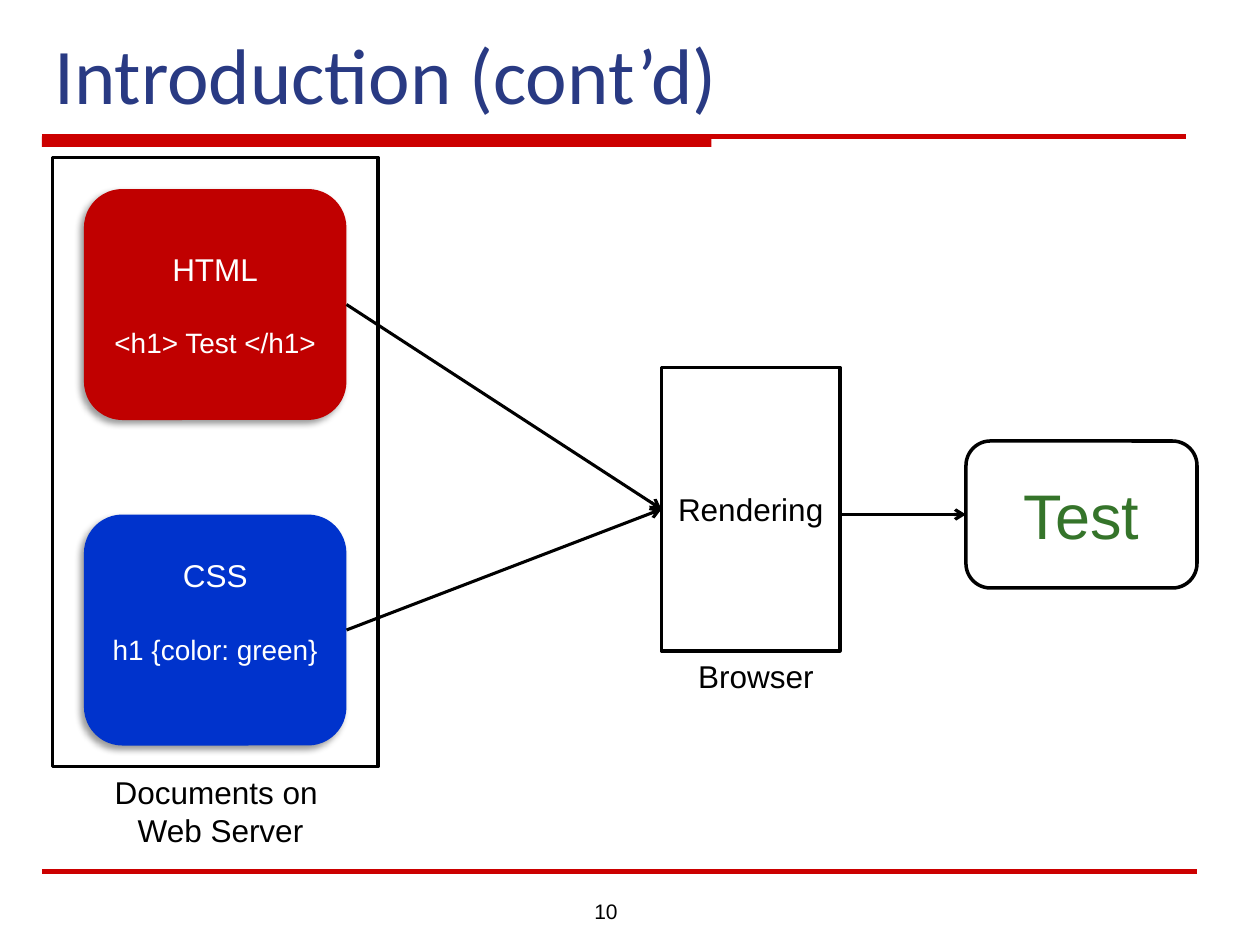
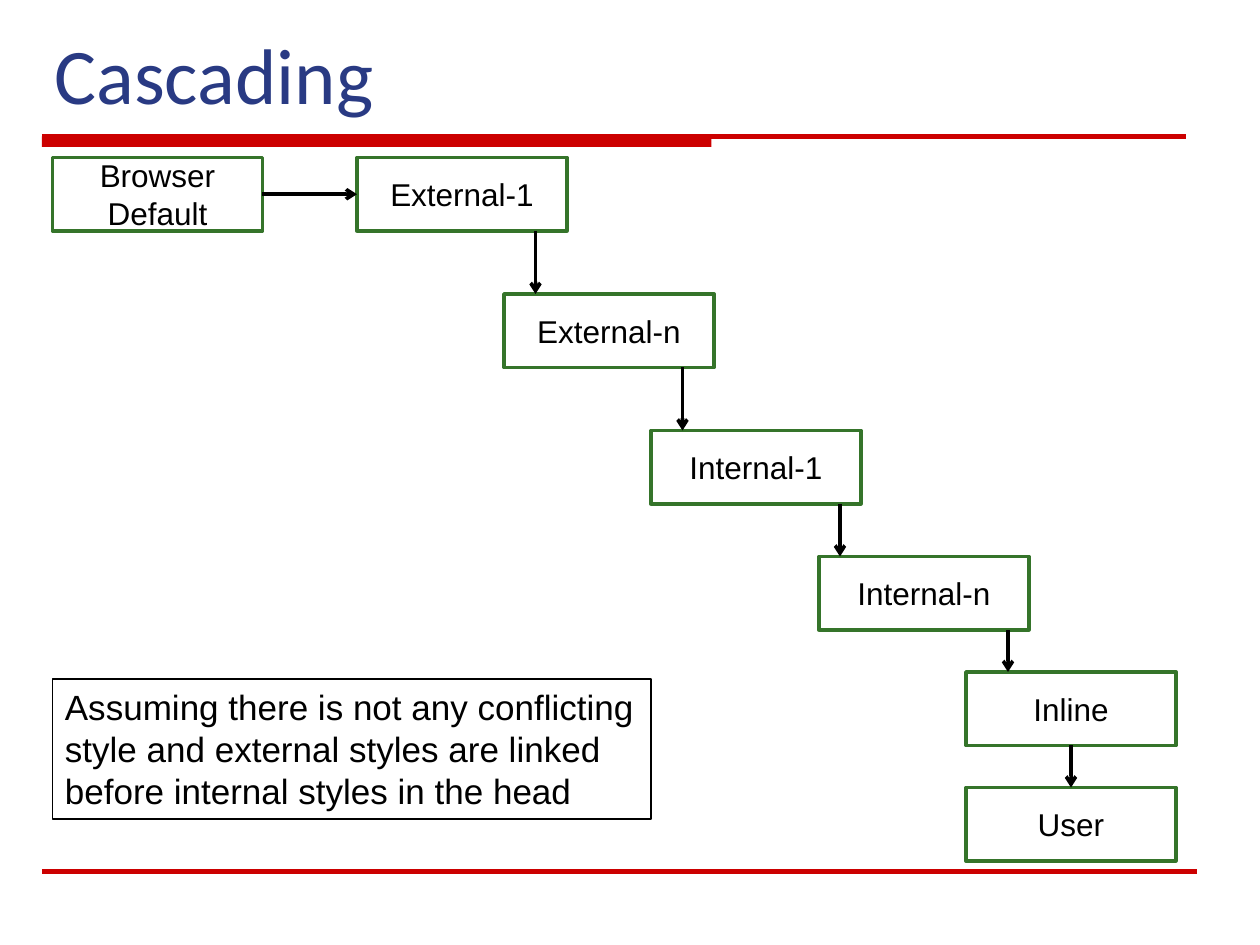
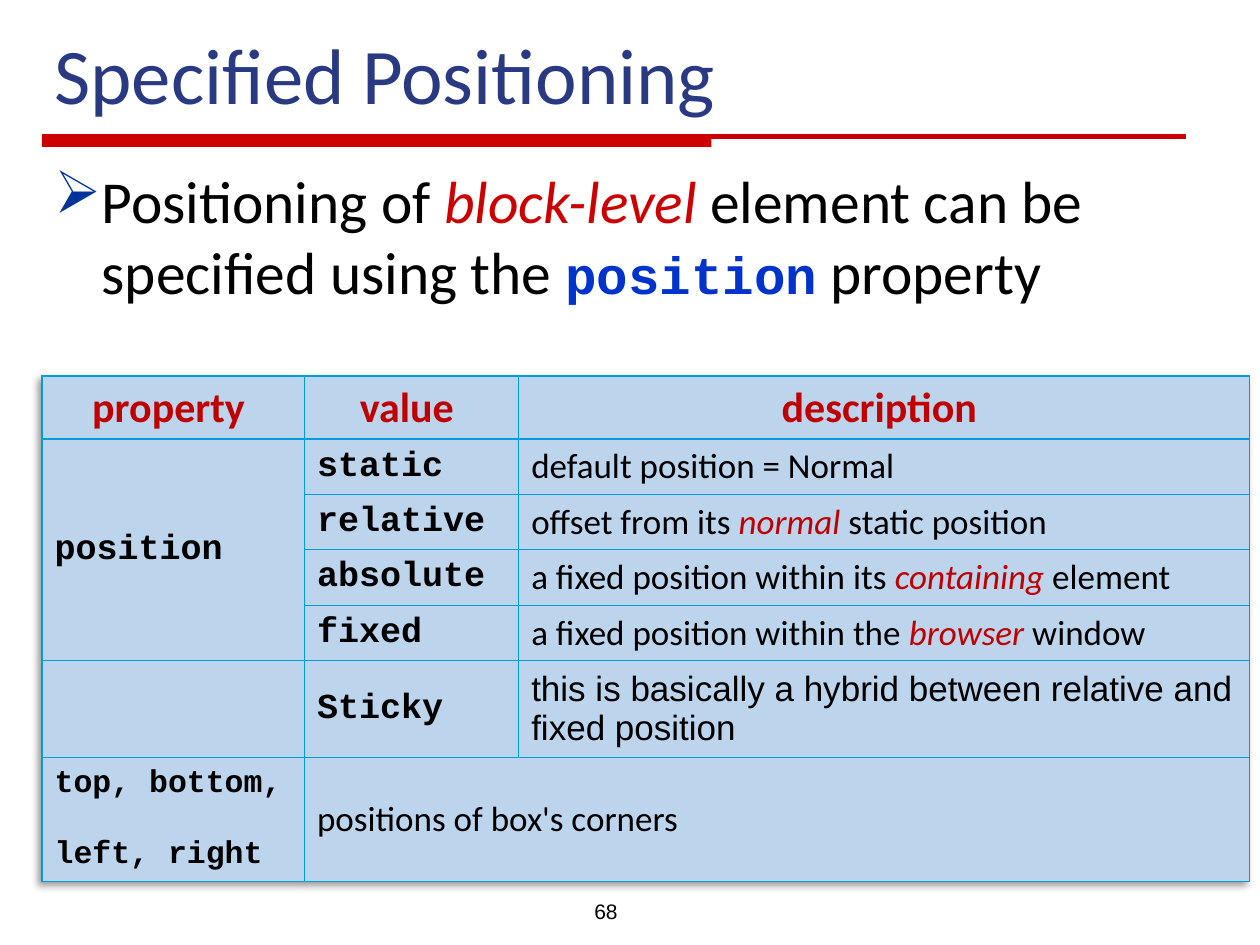
from lxml.etree import SubElement, fromstring
from pptx import Presentation
from pptx.dml.color import RGBColor
from pptx.enum.shapes import MSO_CONNECTOR, MSO_SHAPE
from pptx.enum.text import MSO_ANCHOR, PP_ALIGN
from pptx.oxml.ns import nsdecls, qn
from pptx.util import Pt

COLOURS = {
    "title": "293A83", "band": "CC0000", "text": "000000", "white": "FFFFFF",
    "red": "C00000", "blue": "0033CC", "bullet": "003399", "green": "35742A",
    "cell": "BDD4ED", "grid": "009DD9",
}
LEFT, CENTER, RIGHT = PP_ALIGN.LEFT, PP_ALIGN.CENTER, PP_ALIGN.RIGHT
TOP, MIDDLE, BOTTOM = MSO_ANCHOR.TOP, MSO_ANCHOR.MIDDLE, MSO_ANCHOR.BOTTOM
SHADOW = f"""<a:effectLst {nsdecls('a')}>
<a:outerShdw blurRad="50800" dist="38100" dir="8100000" algn="tr" rotWithShape="0">
<a:srgbClr val="000000"><a:alpha val="40000"/></a:srgbClr></a:outerShdw></a:effectLst>"""


def write(frame, *paragraphs, size=18, font="Arial", colour="text", bold=False,
          align=LEFT, gap=0, spacing=None):
    frame.word_wrap = True
    for index, spans in enumerate(paragraphs):
        para = frame.add_paragraph() if index else frame.paragraphs[0]
        para.alignment = align
        if index:
            para.space_before = Pt(gap)
        if spacing:
            para.line_spacing = spacing
        for words in [spans] if isinstance(spans, str) else spans:
            words, style = (words, {}) if isinstance(words, str) else words
            span = para.add_run()
            span.text = words
            span.font.size = Pt(style.get("size", size))
            span.font.name = style.get("font", font)
            span.font.bold = style.get("bold", bold)
            span.font.italic = style.get("italic", False)
            span.font.color.rgb = RGBColor.from_string(COLOURS[style.get("colour", colour)])


def add_line(page, start, end, colour="text", width=2, head=False, begin=None, finish=None):
    line = page.shapes.add_connector(MSO_CONNECTOR.STRAIGHT, *map(Pt, start + end))
    line.line.color.rgb = RGBColor.from_string(COLOURS[colour])
    line.line.width = Pt(width)
    if begin:
        line.begin_connect(*begin)
    if finish:
        line.end_connect(*finish)
    properties = line._element.spPr
    if head:
        SubElement(properties.find(qn("a:ln")), qn("a:tailEnd"), type="arrow")
    SubElement(properties, qn("a:effectLst"))


deck = Presentation()
deck.slide_width, deck.slide_height = Pt(720), Pt(540)
pages = []
for title, number in [("Introduction (cont’d)", "10"), ("Cascading", None),
                      ("Specified Positioning", "68")]:
    page = deck.slides.add_slide(deck.slide_layouts[6])
    band = page.shapes.add_shape(MSO_SHAPE.RECTANGLE, Pt(24), Pt(78), Pt(382.5), Pt(6))
    band.shadow.inherit = False
    band.fill.solid()
    band.fill.fore_color.rgb = RGBColor.from_string(COLOURS["band"])
    band.line.fill.background()
    add_line(page, (24, 78), (678, 78), "band", 3)
    add_line(page, (24, 498), (684, 498), "band", 3)
    heading = page.shapes.add_textbox(Pt(24), Pt(12), Pt(666), Pt(60)).text_frame
    heading.vertical_anchor = BOTTOM
    write(heading, title, size=45, font="Calibri", colour="title")
    if number:
        footer = page.shapes.add_textbox(Pt(312), Pt(510), Pt(48), Pt(19.5))
        write(footer.text_frame, number, size=12, align=RIGHT)
    pages.append(page)
intro, cascade, positioning = pages

ROUND, RECT = MSO_SHAPE.ROUNDED_RECTANGLE, MSO_SHAPE.RECTANGLE
small = {"size": 16}
boxes = {}
for name, kind, place, fill, paragraphs, style in [
    ("html", ROUND, (48, 108, 150, 132), "red",
     ["HTML", [("<h1> Test </h1>", small)]], {"colour": "white", "gap": 22}),
    ("css", ROUND, (48, 294, 150, 132), "blue",
     ["CSS", [("h1 {color: green}", small)]], {"colour": "white", "gap": 22}),
    ("server", RECT, (30, 90, 186, 348), None, [], {}),
    ("rendering", RECT, (378, 210, 102, 162), None, ["Rendering"], {}),
    ("result", ROUND, (552, 252, 132, 84), None, ["Test"], {"size": 36, "colour": "green"}),
]:
    box = boxes[name] = intro.shapes.add_shape(kind, *map(Pt, place))
    box.shadow.inherit = False
    if fill:
        box.fill.solid()
        box.fill.fore_color.rgb = RGBColor.from_string(COLOURS[fill])
        box.line.fill.background()
        properties = box._element.spPr
        properties.replace(properties.find(qn("a:effectLst")), fromstring(SHADOW))
    else:
        box.fill.background()
        box.line.color.rgb = RGBColor.from_string(COLOURS["text"])
        box.line.width = Pt(2)
    box.text_frame.vertical_anchor = MIDDLE
    write(box.text_frame, *paragraphs, align=CENTER, **style)
boxes["css"].text_frame.margin_bottom = Pt(25.6)

for label, place in [("Documents on  Web Server", (42, 438, 168, 51)),
                     ("Browser", (390, 372, 84, 29))]:
    caption = intro.shapes.add_textbox(*map(Pt, place))
    write(caption.text_frame, label, align=CENTER)

for source, y in [("html", 174), ("css", 360)]:
    add_line(intro, (198, y), (378, 291), width=1.75, head=True,
             begin=(boxes[source], 3), finish=(boxes["rendering"], 1))
add_line(intro, (480, 294), (552, 294), width=1.75, head=True, finish=(boxes["result"], 1))

STEP_WIDTH, STEP_HEIGHT = 120, 42
steps = [
    ("Browser Default", 30, 90), ("External-1", 204, 90), ("External-n", 288, 168),
    ("Internal-1", 372, 246), ("Internal-n", 468, 318), ("Inline", 552, 384), ("User", 552, 450),
]
step_boxes = []
for label, x, y in steps:
    box = cascade.shapes.add_shape(RECT, Pt(x), Pt(y), Pt(STEP_WIDTH), Pt(STEP_HEIGHT))
    box.shadow.inherit = False
    box.fill.solid()
    box.fill.fore_color.rgb = RGBColor.from_string(COLOURS["white"])
    box.line.color.rgb = RGBColor.from_string(COLOURS["green"])
    box.line.width = Pt(2)
    box.text_frame.vertical_anchor = MIDDLE
    write(box.text_frame, label, align=CENTER)
    step_boxes.append(box)

browser, external, *_, inline, user = step_boxes
add_line(cascade, (150, 111), (204, 111), head=True, begin=(browser, 3), finish=(external, 1))
for x, (_, _, upper), (_, _, lower) in zip([306, 390, 480, 576], steps[1:], steps[2:]):
    add_line(cascade, (x, upper + STEP_HEIGHT), (x, lower), head=True)
add_line(cascade, (612, 426), (612, 450), head=True, begin=(inline, 2), finish=(user, 0))

note = cascade.shapes.add_textbox(Pt(30), Pt(388), Pt(342), Pt(80))
note.line.color.rgb = RGBColor.from_string(COLOURS["text"])
note.line.width = Pt(0.75)
write(note.text_frame, "Assuming there is not any conflicting style and external styles "
      "are linked before internal styles in the head", size=20)

body = positioning.shapes.add_textbox(Pt(24), Pt(90), Pt(660), Pt(408)).text_frame
write(body, [
    "Positioning of ", ("block-level", {"colour": "band", "italic": True}),
    " element can be specified using the ",
    ("position", {"size": 30, "font": "Courier New", "colour": "blue", "bold": True}),
    " property",
], size=34, font="Calibri")
body.paragraphs[0].space_before = Pt(12)
bullet = body.paragraphs[0]._p.get_or_add_pPr()
bullet.set("marL", str(Pt(27)))
bullet.set("indent", str(-Pt(27)))
SubElement(SubElement(bullet, qn("a:buClr")), qn("a:srgbClr"), val=COLOURS["bullet"])
SubElement(bullet, qn("a:buChar"), char="➢")

stress = {"colour": "red", "italic": True}
header = {"size": 24, "font": "Calibri", "colour": "red", "bold": True, "align": CENTER}
code = {"size": 20, "font": "Courier New", "bold": True}
plain = {"size": 20, "font": "Calibri"}
contents = [
    (0, 0, ["property "], header), (0, 1, ["value "], header), (0, 2, ["description "], header),
    (1, 0, ["position"], code),
    (6, 0, ["top, bottom,", "left, right"], {**code, "size": 18, "gap": 20.4}),
    (6, 1, ["positions of box's corners"], plain),
]
values = [
    ("static", ["default position = Normal"], plain),
    ("relative", ["offset from its ", ("normal ", stress), "static position"], plain),
    ("absolute", ["a fixed position within its ", ("containing", stress), " element"], plain),
    ("fixed", ["a fixed position within the ", ("browser", stress), " window"], plain),
    ("Sticky", ["this is basically a hybrid between relative and fixed position"],
     {"size": 20}),
]
for row, (value, description, style) in enumerate(values, 1):
    contents += [(row, 1, [value], code), (row, 2, [description], style)]

heights = [36, 31.7, 31.7, 31.7, 31.7, 52, 69]
frame = positioning.shapes.add_table(7, 3, Pt(24), Pt(214.8), Pt(690), Pt(sum(heights)))
table = frame.table
for column, width in zip(table.columns, [150, 122.4, 417.6]):
    column.width = Pt(width)
for row, height in zip(table.rows, heights):
    row.height = Pt(height)
table.first_row = table.horz_banding = False
table._tbl.tblPr.insert(0, fromstring(SHADOW))
table.cell(1, 0).merge(table.cell(4, 0))
table.cell(6, 1).merge(table.cell(6, 2))
for cell in table.iter_cells():
    cell.vertical_anchor = MIDDLE
    cell.fill.solid()
    cell.fill.fore_color.rgb = RGBColor.from_string(COLOURS["cell"])
    for index, side in enumerate(["lnL", "lnR", "lnT", "lnB"]):
        cell._tc.tcPr.insert(index, fromstring(
            f'<a:{side} {nsdecls("a")} w="{Pt(0.79)}"><a:solidFill>'
            f'<a:srgbClr val="{COLOURS["grid"]}"/></a:solidFill></a:{side}>'))
for row, column, paragraphs, style in contents:
    write(table.cell(row, column).text_frame, *paragraphs, **style)

deck.save("out.pptx")
